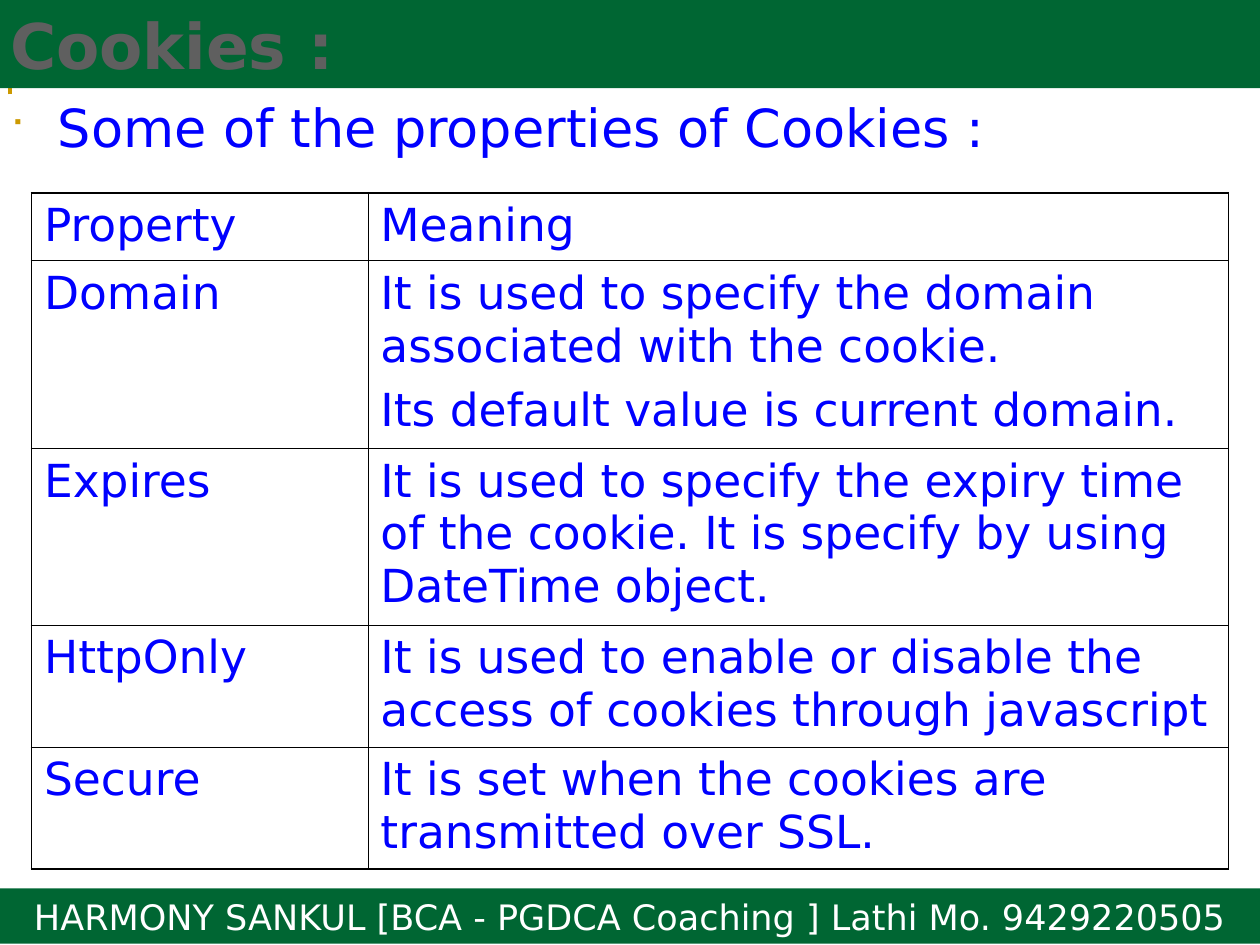
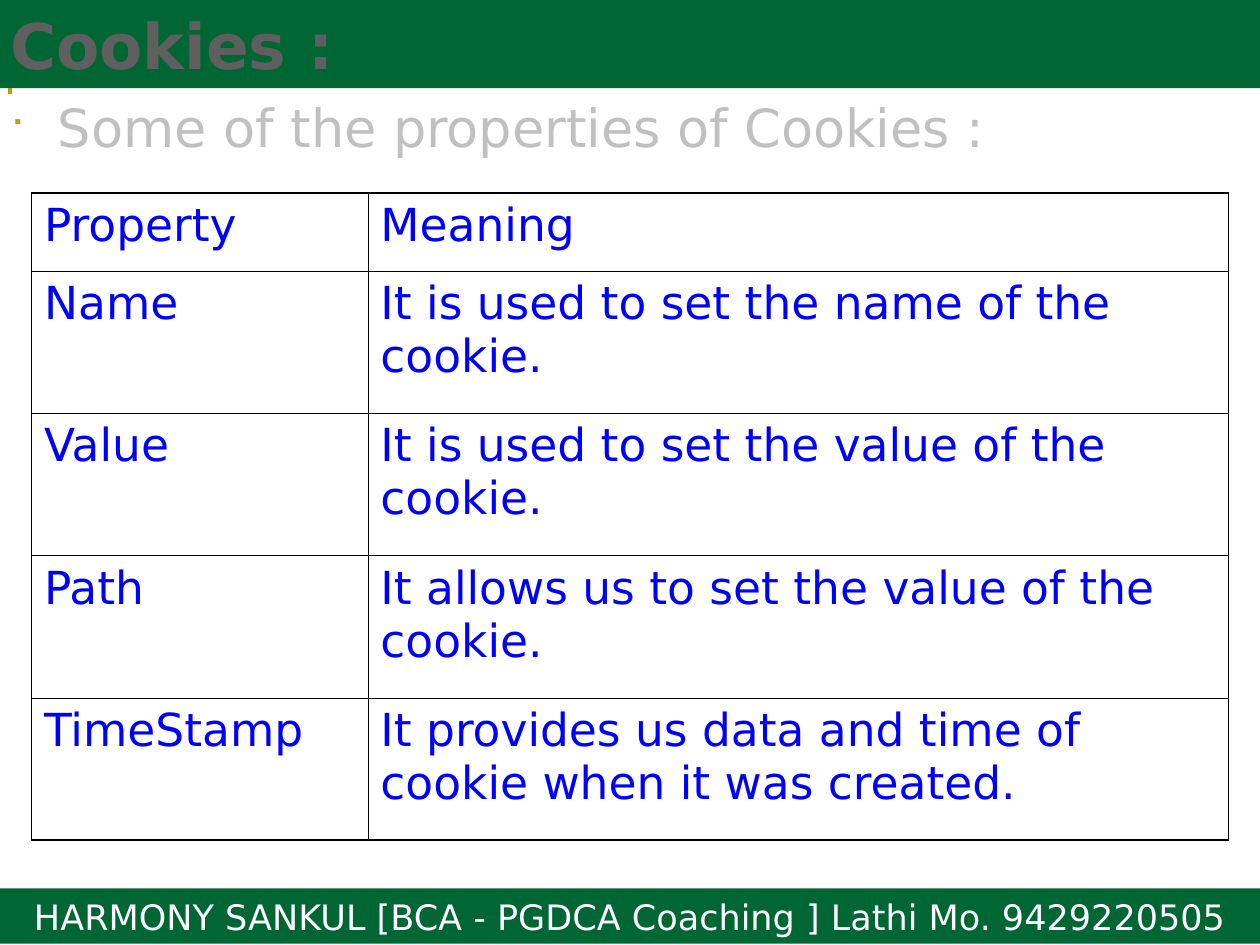
from dataclasses import dataclass

from lxml import etree
from pptx import Presentation
from pptx import util as u
from pptx.dml.color import RGBColor
from pptx.enum import shapes, text
from pptx.oxml import ns


@dataclass(frozen=True)
class Theme:
    font: str = "DejaVu Sans"
    bullet_font: str = "Wingdings"
    band: str = "006633"
    accent: str = "CC9900"
    title: str = "5F5F5F"
    body: str = "0000FF"
    muted: str = "C0C0C0"
    footer: str = "FFFFFF"
    border: str = "000000"
    title_size: float = 36
    list_size: float = 30
    table_size: float = 26
    footer_size: float = 20
    outer_border: float = 1.08
    inner_border: float = 0.45


FOOTER = "HARMONY SANKUL [BCA - PGDCA Coaching ] Lathi Mo. 9429220505"
HEADER = ("Property", ["Meaning"])
COLUMN_WIDTHS = (2.67, 6.83)

ATTRIBUTE_ROWS = [
    HEADER,
    ("Domain", ["It is used to specify the domain associated with the cookie.",
                "Its default value is current domain."]),
    ("Expires", ["It is used to specify the expiry time of the cookie. "
                 "It is specify by using DateTime object."]),
    ("HttpOnly", ["It is used to enable or disable the access of cookies through javascript"]),
    ("Secure", ["It is set when the cookies are transmitted over SSL."]),
]
BASIC_ROWS = [
    HEADER,
    ("Name", ["It is used to set the name of the cookie."]),
    ("Value", ["It is used to set the value of the cookie."]),
    ("Path", ["It allows us to set the value of the cookie."]),
    ("TimeStamp", ["It provides us data and time of cookie when it was created."]),
]


def add_child(parent, tag, **attributes):
    return etree.SubElement(parent, ns.qn(tag), attributes)


class SlideBuilder:
    def __init__(self, deck, theme):
        self.deck = deck
        self.theme = theme
        self.layout = deck.slide_layouts[1]
        self.slide = None

    def new_slide(self):
        self.slide = self.deck.slides.add_slide(self.layout)

    def share(self, shape):
        """Move a shape from the current slide to the layout, so all slides show it."""
        self.layout.shapes._spTree.append(shape._element)

    def place(self, shape, left, top, width, height):
        shape.left, shape.top = u.Inches(left), u.Inches(top)
        shape.width, shape.height = u.Inches(width), u.Inches(height)

    def fill(self, shape, color):
        shape.fill.solid()
        shape.fill.fore_color.rgb = RGBColor.from_string(color)

    def frame(self, shape, side_inset):
        frame = shape.text_frame
        frame.word_wrap = True
        frame.auto_size = text.MSO_AUTO_SIZE.NONE
        frame.vertical_anchor = text.MSO_ANCHOR.MIDDLE
        frame.margin_left = frame.margin_right = u.Inches(side_inset)
        frame.margin_top = frame.margin_bottom = u.Inches(0.05)
        return frame

    def add_words(self, para, words, size, color, bold=False, before=0,
                  align=text.PP_ALIGN.LEFT):
        para.alignment = align
        para.space_before = u.Pt(before)
        span = para.add_run()
        span.text = words
        span.font.name = self.theme.font
        span.font.size = u.Pt(size)
        span.font.bold = bold
        span.font.color.rgb = RGBColor.from_string(color)

    def footer(self, words):
        band = self.slide.shapes.add_shape(
            shapes.MSO_SHAPE.RECTANGLE, u.Inches(0), u.Inches(7.05),
            u.Inches(10), u.Inches(0.44))
        band.shadow.inherit = False
        self.fill(band, self.theme.band)
        band.line.fill.background()
        para = self.frame(band, 0.1).paragraphs[0]
        self.add_words(para, words, self.theme.footer_size, self.theme.footer,
                       before=12.5, align=text.PP_ALIGN.CENTER)
        self.share(band)

    def corner_line(self):
        builder = self.slide.shapes.build_freeform(
            u.Inches(0.08), u.Inches(0.75), scale=1.0)
        builder.add_line_segments(
            [(u.Inches(0.08), u.Inches(0.08)), (u.Inches(9.83), u.Inches(0.08))],
            close=False)
        corner = builder.convert_to_shape()
        corner.shadow.inherit = False
        corner.fill.background()
        corner.line.color.rgb = RGBColor.from_string(self.theme.accent)
        corner.line.width = u.Pt(2.25)
        self.share(corner)

    def title(self, words):
        box = self.slide.shapes.title
        self.place(box, 0, 0, 10, 0.7)
        self.fill(box, self.theme.band)
        para = self.frame(box, 0.08).paragraphs[0]
        self.add_words(para, words, self.theme.title_size, self.theme.title, bold=True)

    def bullet(self, words, color):
        box = self.slide.placeholders[1]
        self.place(box, 0, 0.67, 10, 0.67)
        para = self.frame(box, 0.08).paragraphs[0]
        self.add_words(para, words, self.theme.list_size, color, before=7.5)
        props = para._p.get_or_add_pPr()
        props.set("marL", str(u.Inches(0.38)))
        props.set("indent", str(u.Inches(-0.38)))
        add_child(add_child(props, "a:buClr"), "a:srgbClr", val=self.theme.accent)
        add_child(props, "a:buSzPct", val="65000")
        add_child(props, "a:buFont", typeface=self.theme.bullet_font)
        add_child(props, "a:buChar", char="■")

    def table(self, rows, heights):
        grid = self.slide.shapes.add_table(
            len(rows), len(COLUMN_WIDTHS), u.Inches(0.25), u.Inches(1.53),
            u.Inches(sum(COLUMN_WIDTHS)), u.Inches(sum(heights))).table
        grid.first_row = grid.horz_banding = False
        for column, width in zip(grid.columns, COLUMN_WIDTHS):
            column.width = u.Inches(width)
        last_row, last_column = len(rows) - 1, len(COLUMN_WIDTHS) - 1
        for r, ((name, meaning), height) in enumerate(zip(rows, heights)):
            grid.rows[r].height = u.Inches(height)
            for c, lines in enumerate(([name], meaning)):
                cell = grid.cell(r, c)
                self.cell_text(cell, lines)
                self.cell_borders(cell, {"L": c == 0, "R": c == last_column,
                                         "T": r == 0, "B": r == last_row})

    def cell_text(self, cell, lines):
        cell.fill.background()
        frame = cell.text_frame
        for i, line in enumerate(lines):
            para = frame.add_paragraph() if i else frame.paragraphs[0]
            self.add_words(para, line, self.theme.table_size, self.theme.body, before=6.5)

    def cell_borders(self, cell, outer_sides):
        props = cell._tc.get_or_add_tcPr()
        for i, (side, outer) in enumerate(outer_sides.items()):
            points = self.theme.outer_border if outer else self.theme.inner_border
            line = add_child(props, f"a:ln{side}", w=str(u.Pt(points)))
            add_child(add_child(line, "a:solidFill"), "a:srgbClr", val=self.theme.border)
            props.insert(i, line)


def main():
    deck = Presentation()
    deck.slide_width, deck.slide_height = u.Inches(10), u.Inches(7.5)
    theme = Theme()
    page = SlideBuilder(deck, theme)
    pages = [
        (theme.body, ATTRIBUTE_ROWS, [0.54, 1.49, 1.4, 0.97, 0.97]),
        (theme.muted, BASIC_ROWS, [0.62] + [1.13] * 4),
    ]
    for number, (color, rows, heights) in enumerate(pages):
        page.new_slide()
        if number == 0:
            page.footer(FOOTER)
            page.corner_line()
        page.title("Cookies :")
        page.bullet("Some of the properties of Cookies :", color)
        page.table(rows, heights)
    deck.save("out.pptx")


if __name__ == "__main__":
    main()
